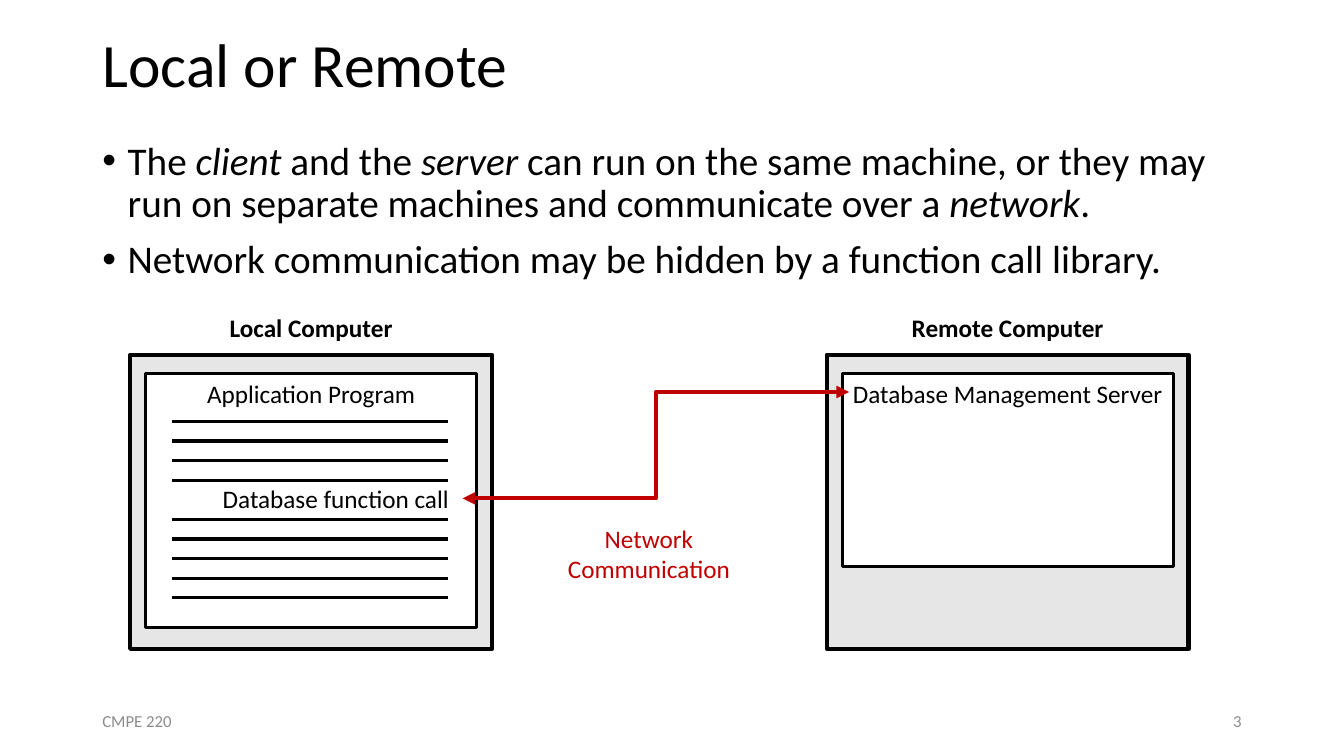
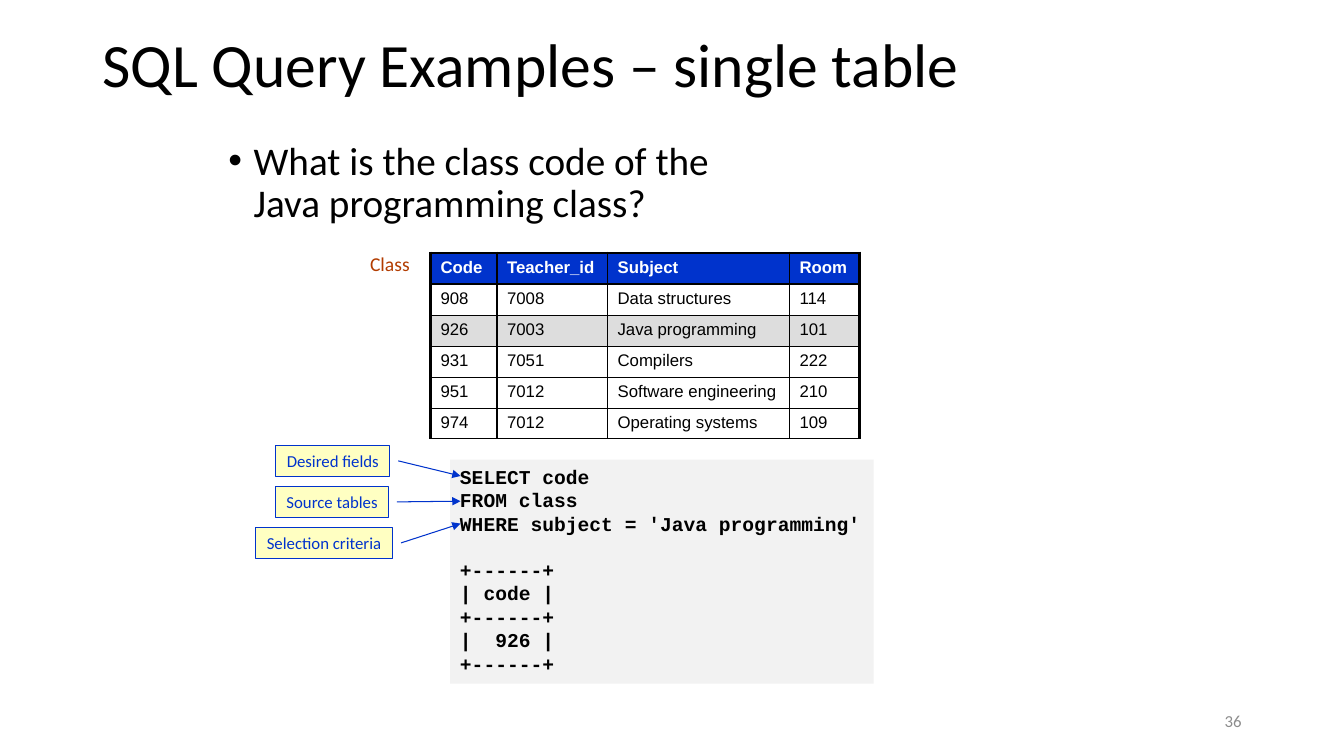
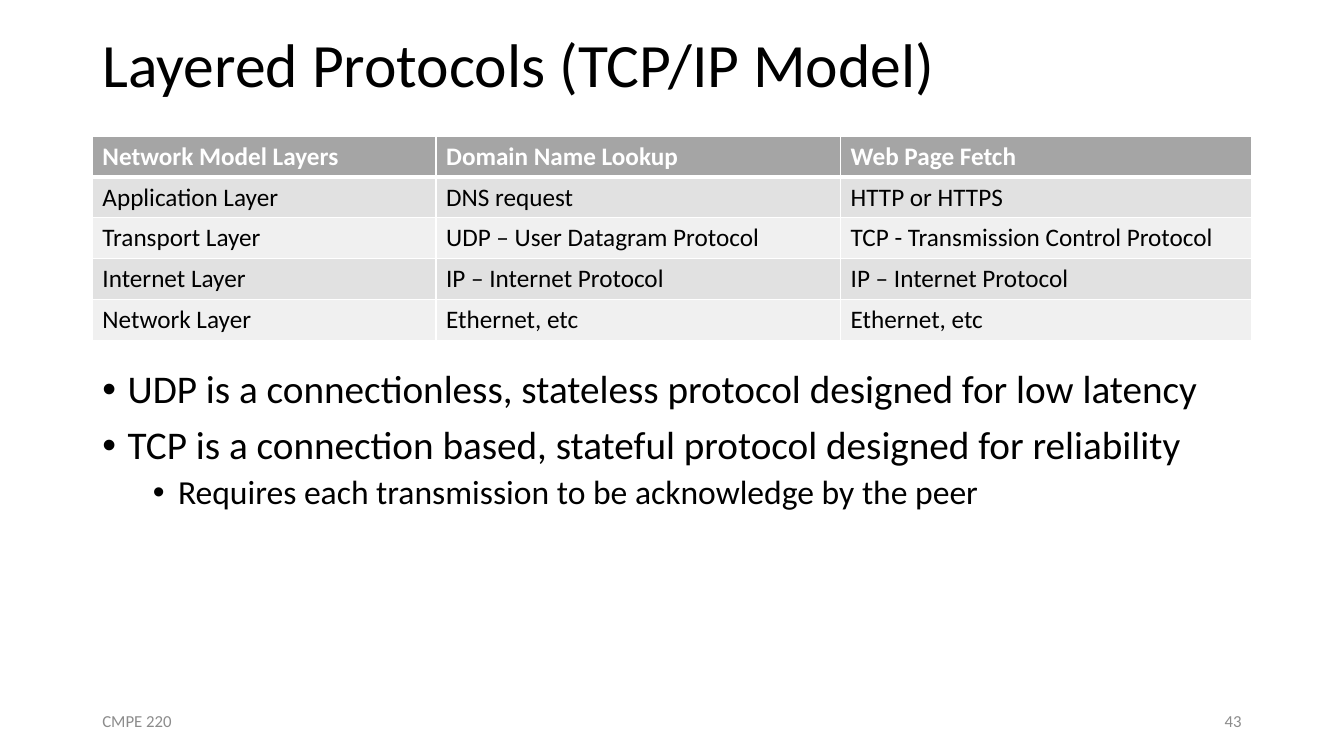
import pptx
import pptx.dml.color
import pptx.enum.shapes
import pptx.enum.text
import pptx.oxml
import pptx.oxml.ns
import pptx.util
from lxml import etree

Pt = pptx.util.Pt
qn = pptx.oxml.ns.qn
ALIGN = pptx.enum.text.PP_ALIGN
ANCHOR = pptx.enum.text.MSO_ANCHOR
CONNECTOR = pptx.enum.shapes.MSO_CONNECTOR

COLORS = {
    "black": "000000", "white": "FFFFFF", "footer": "8C8C8C", "machine": "E7E6E6",
    "network": "C00000", "blue": "0033CC", "label": "FFFFC2", "caption": "B23C00",
    "code": "F2F2F2", "selected": "DDDDDD", "header": "A5A5A5",
    "band_dark": "E1E1E1", "band_light": "F0F0F0",
}

# Content: *text* is italic, a pair is (text, level), "\n" is a line break
LOCAL_TITLE = "Local or Remote"
LOCAL_BULLETS = [
    "The *client* and the *server* can run on the same machine, or they may "
    "run on separate machines and communicate over a *network*.",
    "Network communication may be hidden by a function call library.",
]
# name, left, program, program height
MACHINES = [
    ("Local Computer", 93, "Application Program", 181.5),
    ("Remote Computer", 590.5, "Database Management Server", 138),
]
CODE_LINES, CALL_LINE = 10, 4

QUERY_TITLE = "SQL Query Examples – single table"
QUERY_BULLETS = ["What is the class code of the\nJava programming class?"]
CLASS_ROWS = [
    ("Code", "Teacher_id", "Subject", "Room"),
    ("908", "7008", "Data structures", "114"),
    ("926", "7003", "Java programming", "101"),
    ("931", "7051", "Compilers", "222"),
    ("951", "7012", "Software engineering", "210"),
    ("974", "7012", "Operating systems", "109"),
]
SELECTED_ROW = 2
QUERY = ["SELECT code", "FROM class", "WHERE subject = 'Java programming'"]
RESULT = ["+------+", "| code |", "+------+", "|  926 |", "+------+"]
# label, left, width, height at which its arrow ends
CLAUSES = [
    ("Desired fields", 197, 81.5, 340),
    ("Source tables", 197, 80.5, 358),
    ("Selection criteria", 182.5, 98, 374),
]

PROTOCOL_TITLE = "Layered Protocols (TCP/IP Model)"
PROTOCOL_ROWS = [
    ("Network Model Layers", "Domain Name Lookup", "Web Page Fetch"),
    ("Application Layer", "DNS request", "HTTP or HTTPS"),
    ("Transport Layer", "UDP – User Datagram Protocol", "TCP - Transmission Control Protocol"),
    ("Internet Layer", "IP – Internet Protocol", "IP – Internet Protocol"),
    ("Network Layer", "Ethernet, etc", "Ethernet, etc"),
]
PROTOCOL_BULLETS = [
    "UDP is a connectionless, stateless protocol designed for low latency",
    "TCP is a connection based, stateful protocol designed for reliability",
    ("Requires each transmission to be acknowledge by the peer", 1),
]

# Shared layout
LEFT, WIDTH, BODY_TOP = 66, 828, 97.2
FOOTER_TOP, FOOTER_WIDTH, FOOTER_HEIGHT = 500.5, 216, 28.8


def color(name):
    return pptx.dml.color.RGBColor.from_string(COLORS[name])


def add_bullet(paragraph, level):
    paragraph.level = level
    properties = paragraph._p.get_or_add_pPr()
    properties.set("marL", str(Pt(18 + 36 * level)))
    properties.set("indent", str(-Pt(18)))
    etree.SubElement(properties, qn("a:buFont")).set("typeface", "Arial")
    etree.SubElement(properties, qn("a:buChar")).set("char", "•")


def write(frame, items, size=18, ink="black", font="Calibri", bold=False,
          align=ALIGN.LEFT, anchor=ANCHOR.TOP, wrap=True, spacing=1.0, bullets=False):
    """Fill a text frame with one paragraph per item."""
    frame.word_wrap = wrap
    frame.vertical_anchor = anchor
    for index, item in enumerate(items):
        text, level = item if isinstance(item, tuple) else (item, 0)
        paragraph = frame.paragraphs[0] if index == 0 else frame.add_paragraph()
        if bullets:
            add_bullet(paragraph, level)
        paragraph.alignment = align
        paragraph.line_spacing = spacing
        paragraph.space_before = Pt((5 if level else 10) if bullets and index else 0)
        for line_index, line in enumerate(text.split("\n")):
            if line_index:
                paragraph.add_line_break()
            for part_index, part in enumerate(line.split("*")):
                run = paragraph.add_run()
                run.text = part
                run.font.name = font
                run.font.size = Pt(size - 4 * level)
                run.font.bold = bold
                run.font.italic = part_index % 2 == 1
                run.font.color.rgb = color(ink)


def place(shape, left, top, width, height):
    shape.left, shape.top = Pt(left), Pt(top)
    shape.width, shape.height = Pt(width), Pt(height)


def add_text(slide, box, items, **text_format):
    shape = slide.shapes.add_textbox(*map(Pt, box))
    write(shape.text_frame, items, **text_format)


def add_box(slide, box, fill, line=None, weight=1, items=(), **text_format):
    rectangle = pptx.enum.shapes.MSO_SHAPE.RECTANGLE
    shape = slide.shapes.add_shape(rectangle, *map(Pt, box))
    shape.shadow.inherit = False
    shape.fill.solid()
    shape.fill.fore_color.rgb = color(fill)
    if line:
        shape.line.color.rgb = color(line)
        shape.line.width = Pt(weight)
    else:
        shape.line.fill.background()
    write(shape.text_frame, items, **text_format)
    return shape


def add_line(slide, start, end, ink, weight, kind=CONNECTOR.STRAIGHT, arrows=()):
    connector = slide.shapes.add_connector(kind, *map(Pt, start + end))
    connector.line.color.rgb = color(ink)
    connector.line.width = Pt(weight)
    for arrow in arrows:
        etree.SubElement(connector.line._get_or_add_ln(), qn(arrow)).set("type", "triangle")
    etree.SubElement(connector._element.spPr, qn("a:effectLst"))


def set_borders(cell, ink, weights):
    """Draw the left, right, top and bottom borders of a cell."""
    properties = cell._tc.get_or_add_tcPr()
    for index, (side, weight) in enumerate(zip("LRTB", weights)):
        line = etree.Element(qn(f"a:ln{side}"), w=str(Pt(weight)))
        fill = etree.SubElement(line, qn("a:solidFill"))
        etree.SubElement(fill, qn("a:srgbClr")).set("val", COLORS[ink])
        properties.insert(index, line)


def add_table(slide, left, top, rows, widths, heights, row_fill, border_ink, borders, **text_format):
    frame = slide.shapes.add_table(len(rows), len(widths), Pt(left), Pt(top),
                                   Pt(sum(widths)), Pt(sum(heights)))
    table = frame.table
    table.horz_banding = False
    for column, width in zip(table.columns, widths):
        column.width = Pt(width)
    for row_index, row in enumerate(rows):
        table.rows[row_index].height = Pt(heights[row_index])
        header = row_index == 0
        for column_index, text in enumerate(row):
            cell = table.cell(row_index, column_index)
            cell.fill.solid()
            cell.fill.fore_color.rgb = color(row_fill(row_index))
            set_borders(cell, border_ink, borders(row_index, column_index))
            write(cell.text_frame, [text], bold=header,
                  ink="white" if header else "black", **text_format)


def new_slide(presentation, title, number, bullets, body_box, footer="CMPE 220"):
    slide = presentation.slides.add_slide(presentation.slide_layouts[1])
    body = slide.placeholders[1]
    place(slide.shapes.title, LEFT, 0, WIDTH, BODY_TOP)
    place(body, *body_box)
    for shape in (slide.shapes.title, body):
        shape.text_frame.auto_size = pptx.enum.text.MSO_AUTO_SIZE.NONE
    write(slide.shapes.title.text_frame, [title], size=44, spacing=0.9, anchor=ANCHOR.MIDDLE)
    write(body.text_frame, bullets, size=28, spacing=0.9, bullets=True)
    footers = [(LEFT, footer, ALIGN.LEFT),
               (LEFT + WIDTH - FOOTER_WIDTH, str(number), ALIGN.RIGHT)]
    for left, text, align in footers:
        if text:
            add_text(slide, (left, FOOTER_TOP, FOOTER_WIDTH, FOOTER_HEIGHT), [text],
                     size=12, ink="footer", align=align, anchor=ANCHOR.MIDDLE)
    return slide


def build_local_or_remote(presentation):
    slide = new_slide(presentation, LOCAL_TITLE, 3, LOCAL_BULLETS, (LEFT, BODY_TOP, WIDTH, 111))

    # Machines with the programs they run
    machine_width, inset = 258.5, 11
    for name, left, program, height in MACHINES:
        add_text(slide, (left, 219.5, machine_width, 29), [name], bold=True, align=ALIGN.CENTER)
        add_box(slide, (left, 253.5, machine_width, 210), "machine", "black", 3)
        add_box(slide, (left + inset, 266.5, machine_width - 2 * inset, height), "white",
                "black", 2.25, [program], align=ALIGN.CENTER, wrap=False)

    # Program lines around the function call
    for index in range(CODE_LINES):
        if index != CALL_LINE:
            y = 301 + 14 * index
            add_line(slide, (123, y), (320, y), "black", 2.25)
    add_text(slide, (152, 341.5, 178, 29), ["Database function call"], wrap=False)

    # Network link
    add_line(slide, (330.5, 356), (606.5, 280), "network", 3, CONNECTOR.ELBOW,
             ("a:headEnd", "a:tailEnd"))
    add_text(slide, (397.5, 370, 132, 51), ["Network", "Communication"],
             ink="network", align=ALIGN.CENTER, wrap=False)


def build_query(presentation):
    slide = new_slide(presentation, QUERY_TITLE, 36, QUERY_BULLETS,
                      (156, BODY_TOP, 410, 81), footer=None)

    # Class table
    def row_fill(row):
        return {0: "blue", SELECTED_ROW: "selected"}.get(row, "white")

    def borders(row, column):
        last = len(CLASS_ROWS[0]) - 1
        return [2.25 if outer else 1 for outer in (column == 0, column == last, row == 0, False)]

    add_text(slide, (257, 176.5, 43, 24.5), ["Class"], size=14, ink="caption",
             align=ALIGN.CENTER, wrap=False)
    add_table(slide, 307.5, 180.7, CLASS_ROWS, [47.5, 79, 130, 50], [22.2] * 5 + [21],
              row_fill, "black", borders, size=12, font="Arial")

    # Query and its result
    code = add_box(slide, (321.5, 328.3, 302.5, 160), "code", items=QUERY + RESULT,
                   size=14, font="Courier New", bold=True)
    code.text_frame.paragraphs[len(QUERY)].space_before = Pt(16)

    # Clause labels with arrows
    for index, (label, left, width, end_y) in enumerate(CLAUSES):
        top, height = 318.3 + 29.3 * index, 21.8
        add_box(slide, (left, top, width, height), "label", "blue", 0.75, [label],
                size=12, ink="blue", align=ALIGN.CENTER, wrap=False)
        add_line(slide, (left + width + 6, top + height / 2), (329, end_y), "blue", 0.75,
                 arrows=("a:tailEnd",))


def build_protocols(presentation):
    slide = new_slide(presentation, PROTOCOL_TITLE, 43, PROTOCOL_BULLETS,
                      (LEFT, 260.5, WIDTH, 217.5))

    def row_fill(row):
        return "header" if row == 0 else ("band_dark" if row % 2 else "band_light")

    def borders(row, column):
        return [1, 1, 3 if row == 1 else 1, 3 if row == 0 else 1]

    add_table(slide, LEFT, BODY_TOP, PROTOCOL_ROWS, [245.5, 289, 293.5], [29.2] * 5,
              row_fill, "white", borders)


def main():
    presentation = pptx.Presentation()
    presentation.slide_width, presentation.slide_height = Pt(960), Pt(540)
    build_local_or_remote(presentation)
    build_query(presentation)
    build_protocols(presentation)
    presentation.save("out.pptx")


if __name__ == "__main__":
    main()
